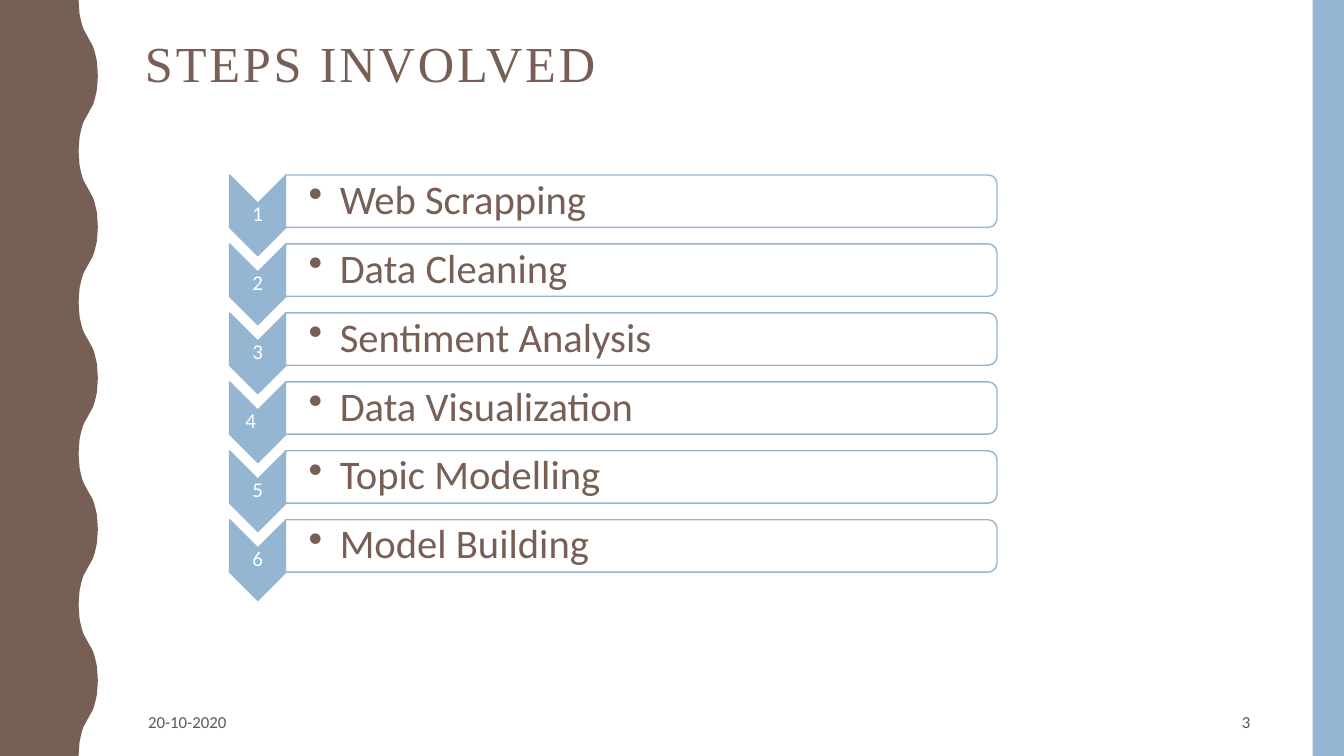
import pptx
import pptx.util
import pptx.dml.color
import pptx.enum.shapes
import pptx.enum.text
import lxml.etree

COLORS = {"brown": "775F55", "blue": "94B6D2", "white": "FFFFFF", "grey": "595959"}
STEPS = ["Web Scrapping", "Data Cleaning", "Sentiment Analysis",
         "Data Visualization", "Topic Modelling", "Model Building"]
SHAPES = pptx.enum.shapes.MSO_SHAPE
ALIGN = pptx.enum.text.PP_ALIGN
ANCHOR = pptx.enum.text.MSO_ANCHOR
QN = pptx.oxml.ns.qn

deck = pptx.Presentation()
deck.slide_width = pptx.util.Inches(13.33)
deck.slide_height = pptx.util.Inches(7.5)
slide = deck.slides.add_slide(deck.slide_layouts[6])
W, H = deck.slide_width, deck.slide_height


def add_filled(parent, kind, left, top, width, height, color, outline=None, turned=False):
    """Add a shape whose visible box is given in percent of the slide; turned rotates it by 90°."""
    x, y, w, h = (int(v) for v in (left * W / 100, top * H / 100, width * W / 100, height * H / 100))
    if turned:
        x, y, w, h = x + (w - h) // 2, y + (h - w) // 2, h, w
    shape = parent.add_shape(kind, x, y, w, h)
    shape.rotation = 90 if turned else 0
    shape.shadow.inherit = False
    shape.fill.solid()
    shape.fill.fore_color.rgb = pptx.dml.color.RGBColor.from_string(COLORS[color])
    if outline:
        shape.line.color.rgb = pptx.dml.color.RGBColor.from_string(COLORS[outline])
        shape.line.width = pptx.util.Pt(1)
    else:
        shape.line.fill.background()
    return shape


def add_text(parent, text, left, top, width, height, size, color, font="Calibri",
             align=ALIGN.LEFT, anchor=ANCHOR.MIDDLE, spacing=1.0, insets=(0.1, 0.05, 0.1, 0.05)):
    """Add a text box in percent of the slide, with insets in inches (left, top, right, bottom)."""
    box = parent.add_textbox(int(left * W / 100), int(top * H / 100),
                             int(width * W / 100), int(height * H / 100))
    frame = box.text_frame
    frame.word_wrap = True
    frame.vertical_anchor = anchor
    frame.margin_left, frame.margin_top, frame.margin_right, frame.margin_bottom = (
        pptx.util.Inches(inset) for inset in insets)
    frame.text = text
    paragraph = frame.paragraphs[0]
    paragraph.alignment = align
    paragraph.line_spacing = spacing
    run = paragraph.runs[0]
    run.font.name = font
    run.font.size = pptx.util.Pt(size)
    run.font.color.rgb = pptx.dml.color.RGBColor.from_string(COLORS[color])
    return paragraph


# Wavy left edge: a quarter of one wave as (depth, drop), mirrored into five full waves
quarter = [(0, 0), (0.02, 0.09), (0.05, 0.19), (0.12, 0.27),
           (0.18, 0.33), (0.26, 0.39), (0.37, 0.44), (0.5, 0.5)]
half = quarter + [(1 - depth, 1 - drop) for depth, drop in quarter[-2::-1]]
wave = half + [(depth, 2 - drop) for depth, drop in half[-2::-1]]
trough, swell, half_wave = 0.0585 * W, 0.0143 * W, H / 10
edge = [(int(trough + depth * swell), int((2 * count + drop) * half_wave))
        for count in range(5) for depth, drop in wave]
builder = slide.shapes.build_freeform(0, 0)
builder.add_line_segments(edge + [(0, H)], close=True)
wavy_band = builder.convert_to_shape()
wavy_band.shadow.inherit = False
wavy_band.fill.solid()
wavy_band.fill.fore_color.rgb = pptx.dml.color.RGBColor.from_string(COLORS["brown"])
wavy_band.line.fill.background()

add_filled(slide.shapes, SHAPES.RECTANGLE, 97.67, 0, 2.33, 100, "blue")

# Footer and title
add_text(slide.shapes, "20-10-2020", 10.28, 92.93, 19.13, 5.07, 12, "grey")
add_text(slide.shapes, "3", 70.67, 92.93, 23.1, 5.07, 12, "grey", align=ALIGN.RIGHT)
title = add_text(slide.shapes, "STEPS INVOLVED", 10.05, 4.53, 83.5, 21.73, 36, "brown",
                 font="Times New Roman", anchor=ANCHOR.TOP, spacing=0.9)
title.runs[0].font._element.set("spc", "200")

# Numbered steps, one row each
first_row, row_pitch = 23.15, 9.12
steps = slide.shapes.add_group_shape().shapes
for number, step in enumerate(STEPS, 1):
    row = first_row + (number - 1) * row_pitch
    add_filled(steps, SHAPES.CHEVRON, 17.08, row, 4.2, 10.67, "blue", "blue", turned=True)
    right_inset = 0.15 if number == 4 else 0.01
    add_text(steps, str(number), 17.08, row + 3.65, 4.2, 3.2, 15, "white", align=ALIGN.CENTER,
             spacing=0.9, insets=(0.01, 0.01, right_inset, 0.01))

    bar = add_filled(steps, SHAPES.ROUND_2_SAME_RECTANGLE, 21.23, row, 52.95, 6.93,
                     "white", "blue", turned=True)
    bar_color = bar._element.spPr.find(QN("a:solidFill"))[0]
    lxml.etree.SubElement(bar_color, QN("a:alpha")).set("val", "90000")

    label = add_text(steps, step, 21.23, row + 0.31, 52.8, 6.27, 29, "brown",
                     spacing=0.9, insets=(0.23, 0.02, 0.02, 0.02))
    indents = label._p.get_or_add_pPr()
    indents.set("marL", str(pptx.util.Inches(0.31)))
    indents.set("indent", str(pptx.util.Inches(-0.31)))
    lxml.etree.SubElement(indents, QN("a:buChar")).set("char", "•")

deck.save("out.pptx")
